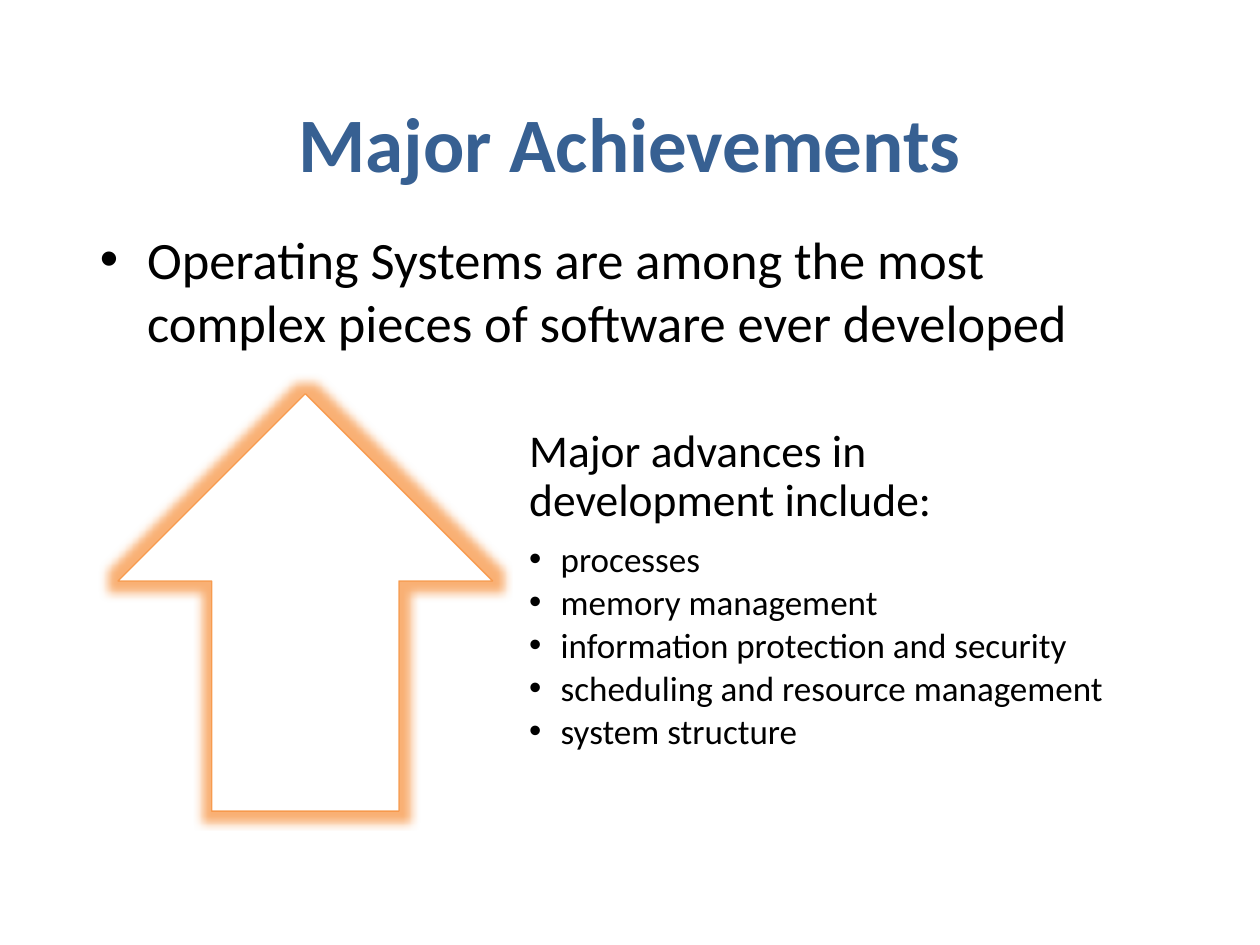
from lxml import etree
from pptx import Presentation
from pptx.dml.color import RGBColor
from pptx.enum.shapes import MSO_SHAPE
from pptx.enum.text import MSO_ANCHOR, PP_ALIGN
from pptx.oxml.ns import qn
from pptx.util import Pt

ARROW = MSO_SHAPE.UP_ARROW
MIDDLE = MSO_ANCHOR.MIDDLE
CENTER = PP_ALIGN.CENTER
FONT = "Calibri"
BLACK, BLUE, ORANGE, WHITE = "000000", "376092", "F79646", "FFFFFF"
TOPICS = [
    "processes",
    "memory management",
    "information protection and security",
    "scheduling and resource management",
    "system structure",
]


def color(code):
    return RGBColor.from_string(code)


def add_frame(shapes, box, insets=(7.2, 3.6, 7.2, 3.6)):
    frame = shapes.add_textbox(*map(Pt, box)).text_frame
    frame.word_wrap = True
    (frame.margin_left, frame.margin_top,
     frame.margin_right, frame.margin_bottom) = map(Pt, insets)
    return frame


def add_run(para, text, size, code=BLACK, bold=False):
    run = para.add_run()
    run.text = text
    run.font.name = FONT
    run.font.size = Pt(size)
    run.font.bold = bold
    run.font.color.rgb = color(code)


def add_bullet(para, indent):
    props = para._p.get_or_add_pPr()
    props.set("marL", str(Pt(indent)))
    props.set("indent", str(-Pt(indent)))
    etree.SubElement(props, qn("a:buFont"), typeface="Arial")
    etree.SubElement(props, qn("a:buChar"), char="•")


def add_alpha(node, percent):
    etree.SubElement(node, qn("a:alpha"), val=str(percent * 1000))


def add_title(shapes, box):
    frame = add_frame(shapes, box)
    frame.vertical_anchor = MIDDLE
    para = frame.paragraphs[0]
    para.alignment = CENTER
    add_run(para, "Major Achievements", 44, BLUE, True)


def add_body(shapes, box):
    para = add_frame(shapes, box).paragraphs[0]
    add_bullet(para, 27)
    add_run(para, "Operating Systems are among the most complex "
            "pieces of software ever developed", 30)


def add_arrow(shapes, box):
    arrow = shapes.add_shape(ARROW, *map(Pt, box))
    arrow.fill.solid()
    arrow.fill.fore_color.rgb = color(WHITE)
    arrow.line.color.rgb = color(ORANGE)
    arrow.line.width = Pt(0.75)
    add_alpha(arrow.line._ln.find(".//" + qn("a:srgbClr")), 90)
    arrow.shadow.inherit = False
    effects = arrow._element.spPr.find(qn("a:effectLst"))
    glow = etree.SubElement(effects, qn("a:glow"), rad=str(Pt(11)))
    add_alpha(etree.SubElement(glow, qn("a:srgbClr"), val=ORANGE), 75)


def add_topics(shapes, box):
    frame = add_frame(shapes, box, (14.4, 0, 14.4, 14.4))
    frame.vertical_anchor = MIDDLE
    head = frame.paragraphs[0]
    head.line_spacing = 0.9
    head.space_after = Pt(9)
    add_run(head, "Major advances in development include:", 26)
    for topic in TOPICS:
        para = frame.add_paragraph()
        para.level = 1
        add_bullet(para, 18)
        para.line_spacing = 0.9
        para.space_after = Pt(3)
        add_run(para, topic, 20)


def add_advances(shapes, box):
    left, top, width, height = box
    split = 220.5
    group = shapes.add_group_shape().shapes
    add_arrow(group, (left, top, 214, height))
    add_topics(group, (left + split, top, width - split, height))


def main():
    deck = Presentation()
    deck.slide_width, deck.slide_height = Pt(720), Pt(540)
    shapes = deck.slides.add_slide(deck.slide_layouts[6]).shapes
    add_title(shapes, (52, 36, 616, 90))
    add_body(shapes, (50, 126, 618, 324))
    add_advances(shapes, (67.5, 225, 583.5, 238.5))
    deck.save("out.pptx")


if __name__ == "__main__":
    main()
